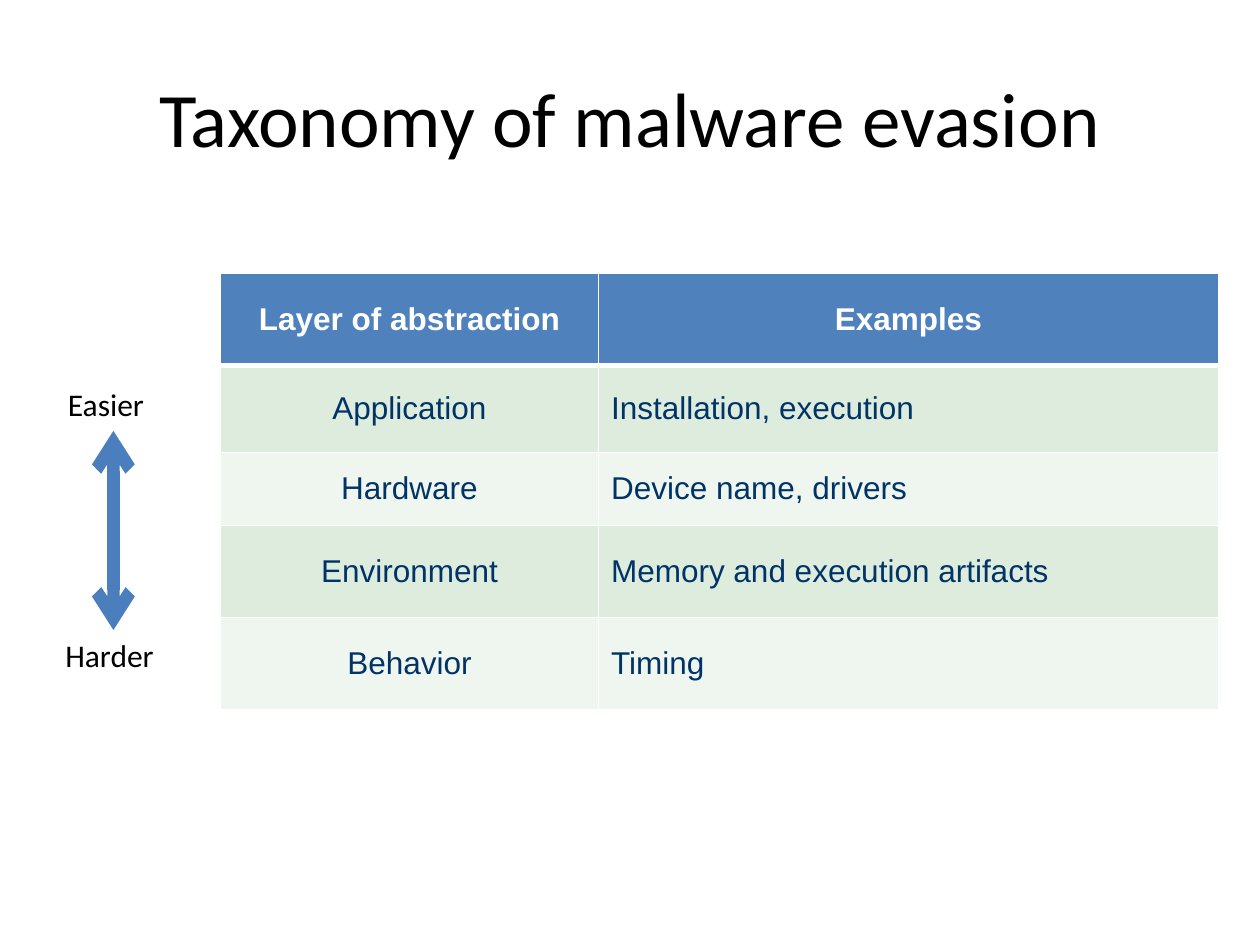
from lxml import etree
from pptx import Presentation, util as u
from pptx.dml.color import RGBColor
from pptx.enum import shapes, text
from pptx.oxml.ns import qn

WIDTH, HEIGHT = u.Inches(10), u.Inches(7.5)
HEADER = ("Layer of abstraction", "Examples")
LAYERS = [
    ("Application", "Installation, execution"),
    ("Hardware", "Device name, drivers"),
    ("Environment", "Memory and execution artifacts"),
    ("Behavior", "Timing"),
]
COLUMN_WIDTHS = (3, 4.92)
ROW_HEIGHTS = (0.73, 0.69, 0.58, 0.73, 0.73)
BANDS = ("DEECDE", "EFF6EF")


def color(value):
    return RGBColor.from_string(value)


def add_text(frame, words, size, font, ink, align, bold=False):
    paragraph = frame.paragraphs[0]
    paragraph.alignment = align
    run = paragraph.add_run()
    run.text = words
    run.font.size = u.Pt(size)
    run.font.name = font
    run.font.bold = bold
    run.font.color.rgb = color(ink)


def add_title(slide, words):
    title = slide.shapes.title
    title.left, title.top = int(WIDTH * 0.05), int(HEIGHT * 0.04)
    title.width, title.height = int(WIDTH * 0.9), u.Inches(1.25)
    title.text_frame.vertical_anchor = text.MSO_ANCHOR.MIDDLE
    add_text(title.text_frame, words, 44, "Calibri", "000000", text.PP_ALIGN.CENTER)


def set_borders(cell, widths):
    properties = cell._tc.get_or_add_tcPr()
    for position, (side, points) in enumerate(widths.items()):
        border = etree.Element(qn(f"a:ln{side}"), w=str(u.Pt(points)))
        fill = etree.SubElement(border, qn("a:solidFill"))
        etree.SubElement(fill, qn("a:srgbClr"), val="FFFFFF")
        properties.insert(position, border)


def fill_cell(cell, words, row, column):
    is_header = row == 0
    centred = is_header or column == 0
    cell.fill.solid()
    cell.fill.fore_color.rgb = color("4F81BD" if is_header else BANDS[(row - 1) % 2])
    cell.vertical_anchor = text.MSO_ANCHOR.MIDDLE
    add_text(cell.text_frame, words, 18, "Arial",
             "FFFFFF" if is_header else "003366",
             text.PP_ALIGN.CENTER if centred else text.PP_ALIGN.LEFT, is_header)
    set_borders(cell, {"L": 1, "R": 1, "T": 3 if row == 1 else 1,
                       "B": 3 if is_header else 1})


def add_taxonomy(slide, left, top):
    rows = [HEADER, *LAYERS]
    taxonomy = slide.shapes.add_table(
        len(rows), len(HEADER), u.Inches(left), u.Inches(top),
        u.Inches(sum(COLUMN_WIDTHS)), u.Inches(sum(ROW_HEIGHTS))).table
    for column, width in zip(taxonomy.columns, COLUMN_WIDTHS):
        column.width = u.Inches(width)
    for row, height in zip(taxonomy.rows, ROW_HEIGHTS):
        row.height = u.Inches(height)
    for row, entries in enumerate(rows):
        for column, words in enumerate(entries):
            fill_cell(taxonomy.cell(row, column), words, row, column)


def add_label(slide, words, left, top, width):
    label = slide.shapes.add_textbox(
        u.Inches(left), u.Inches(top), u.Inches(width), u.Inches(0.4))
    label.text_frame.word_wrap = False
    label.text_frame.auto_size = text.MSO_AUTO_SIZE.SHAPE_TO_FIT_TEXT
    add_text(label.text_frame, words, 18, "Calibri", "000000", text.PP_ALIGN.LEFT)


def add_double_arrow(slide, x, top, bottom):
    arrow = slide.shapes.add_connector(
        shapes.MSO_CONNECTOR.STRAIGHT,
        u.Inches(x), u.Inches(top), u.Inches(x), u.Inches(bottom))
    arrow.line.color.rgb = color("4B7EBC")
    arrow.line.width = u.Pt(7)
    outline = arrow.line._get_or_add_ln()
    for end in ("headEnd", "tailEnd"):
        etree.SubElement(outline, qn(f"a:{end}"), type="arrow")
    etree.SubElement(arrow._element.spPr, qn("a:effectLst"))


def main():
    deck = Presentation()
    deck.slide_width, deck.slide_height = WIDTH, HEIGHT
    slide = deck.slides.add_slide(deck.slide_layouts[5])
    add_title(slide, "Taxonomy of malware evasion")
    add_taxonomy(slide, 1.75, 2.17)
    add_label(slide, "Easier", 0.44, 3.01, 0.92)
    add_label(slide, "Harder", 0.42, 5, 0.97)
    add_double_arrow(slide, 0.9, 3.42, 5)
    deck.save("out.pptx")


if __name__ == "__main__":
    main()
